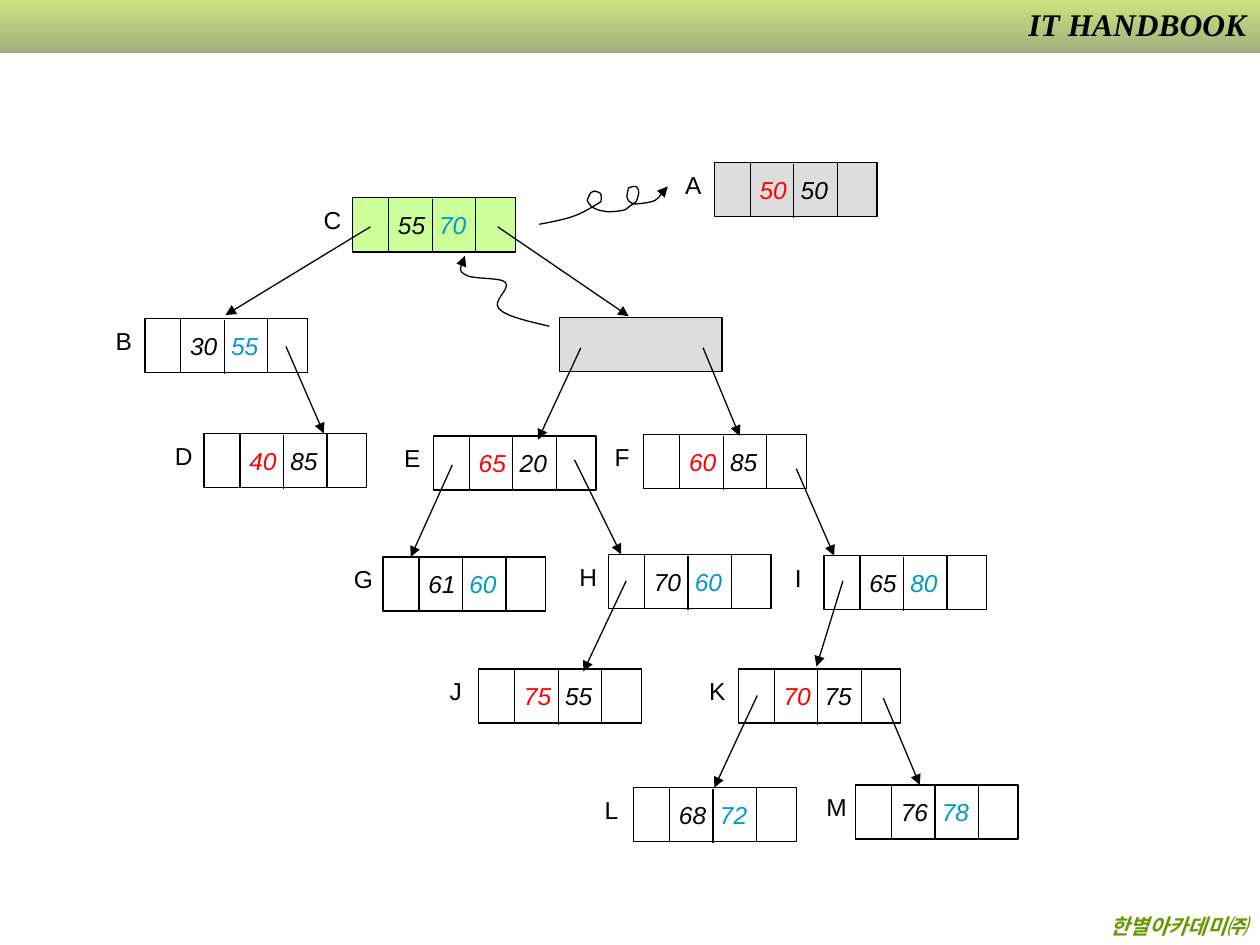
from lxml import etree
from pptx import Presentation
from pptx import util as u
from pptx.dml.color import RGBColor
from pptx.enum import shapes, text
from pptx.oxml.ns import qn

HUE = {"ink": "000000", "red": "FF0000", "blue": "0099CC", "gray": "DDDDDD",
       "lime": "CCFF99", "leaf": "669900", "top": "99CC00", "low": "475E00"}

deck = Presentation()
deck.slide_width, deck.slide_height = u.Inches(10), u.Inches(7.5)
page = deck.slides.add_slide(deck.slide_layouts[6])
parts = page.shapes
rect = shapes.MSO_SHAPE.RECTANGLE
unit = deck.slide_width / 100  # grid of 100 columns by 75 rows


def grid(*nums):
    return [round(n * unit) for n in nums]


def write(box, runs, size, face, side, wrap, **style):
    frame = box.text_frame
    frame.word_wrap = wrap
    para = frame.paragraphs[0]
    para.alignment = side
    for word, hue in runs:
        run = para.add_run()
        run.text = word
        run.font.size, run.font.name = u.Pt(size), face
        run.font.color.rgb = RGBColor.from_string(HUE[hue])
        for key, val in style.items():
            setattr(run.font, key, val)
    return para


# Header band
bar = parts.add_shape(rect, *grid(0, 0, 100, 4.2))
bar.shadow.inherit = False
bar.line.fill.background()
bar.fill.gradient()
bar.fill.gradient_angle = 270
for stop, hue in zip(bar.fill.gradient_stops, ("top", "low")):
    stop.color.rgb = RGBColor.from_string(HUE[hue])
for tint in bar.fill._xPr.iter(qn("a:srgbClr")):
    etree.SubElement(tint, qn("a:alpha"), val="50000")

# Header and footer words
serif = "Times New Roman"
right = text.PP_ALIGN.RIGHT
foot = parts.add_textbox(*grid(0.6, 72, 99.4, 3))
write(foot, [("한별아카데미㈜", "leaf")], 12, serif, right, True, bold=True, italic=True)
head = parts.add_textbox(*grid(78.8, -0.1, 21.1, 4))
para = write(head, [("IT HANDBOOK", "ink")], 18, serif, right, True, bold=True, italic=True)
fill = para.runs[0]._r.rPr.find(qn("a:solidFill"))
glow = etree.Element(qn("a:effectLst"))
cast = etree.SubElement(glow, qn("a:outerShdw"), dist="25400", dir="2700000")
etree.SubElement(cast, qn("a:srgbClr"), val="C0C0C0")
fill.addnext(glow)

# Tree nodes: name, column, row, left key, right key, fill
nodes = [
    ("", 44.4, 25.2, "", "", "gray"),
    ("A", 56.7, 12.9, "50", "50", "gray"),
    ("C", 28, 15.7, "55", "70", "lime"),
    ("B", 11.5, 25.3, "30", "55", None),
    ("D", 16.2, 34.4, "40", "85", None),
    ("E", 34.4, 34.6, "65", "20", None),
    ("F", 51.1, 34.5, "60", "85", None),
    ("G", 30.4, 44.2, "61", "60", None),
    ("H", 48.3, 44, "70", "60", None),
    ("I", 65.4, 44.1, "65", "80", None),
    ("J", 38, 53.1, "75", "55", None),
    ("K", 58.6, 53.1, "70", "75", None),
    ("L", 50.3, 62.5, "68", "72", None),
    ("M", 67.9, 62.3, "76", "78", None),
]
wide = {"I": 2.5, "J": 3, "G": 3.5, "M": 3.6}
reds = "ADEFJK"
lines = []
for name, x, y, low, high, hue in nodes:
    cells = [(x, 12.9, hue), (x + 2.85, 6.9, None)]
    for left, width, tone in cells if name else cells[:1]:
        box = parts.add_shape(rect, *grid(left, y, width, 4.3))
        box.shadow.inherit = False
        box.line.width = u.Pt(0.75)
        box.line.color.rgb = RGBColor.from_string(HUE["ink"])
        if tone:
            box.fill.solid()
            box.fill.fore_color.rgb = RGBColor.from_string(HUE[tone])
        else:
            box.fill.background()
    if not name:
        continue
    box.text_frame.vertical_anchor = text.MSO_ANCHOR.MIDDLE
    first, last = ("red", "ink") if name in reds else ("ink", "blue")
    para = write(box, [(low, first), (" ", first), (high, last)], 14, "Arial",
                 text.PP_ALIGN.CENTER, False, italic=True)
    para.runs[1]._r.rPr.set("spc", "390")  # widens the gap around the divider
    lines.append((x + 6.3, y + 0.1, x + 6.3, y + 4.4, False))
    tag = parts.add_textbox(*grid(x - 3.3, y + 0.1, wide.get(name, 3.3), 3.4))
    write(tag, [(name, "ink")], 14, "Arial", text.PP_ALIGN.LEFT, False)

# Links from parent to child
links = [
    (39.5, 18, 49.9, 25.1), (29.4, 18, 17.9, 25), (46.1, 27.6, 42.7, 34.9),
    (55.8, 27.6, 58.7, 34.6), (22.7, 27.5, 25.7, 34.4), (35.9, 36.9, 32.6, 44.2),
    (45.6, 36.5, 49.3, 44), (63.2, 37.2, 66.2, 44.1), (49.7, 46.1, 46.3, 53.3),
    (66.9, 46.1, 64.8, 52.9), (60.1, 55.2, 56.7, 62.5), (70.1, 55.4, 73, 62.3),
]
lines += [(*link, True) for link in links]
strokes = []
for x1, y1, x2, y2, tip in lines:
    line = parts.add_connector(shapes.MSO_CONNECTOR.STRAIGHT, *grid(x1, y1, x2, y2))
    strokes.append((line, tip))

# Curved moves: a start point, then three points for each curve
curves = [
    [(42.8, 17.8), (45.4, 17.3), (45.8, 17.2), (47.7, 16), (47.7, 15.8), (47.8, 15.5),
     (47.6, 15.3), (46.8, 14.9), (46.8, 15.5), (46.6, 15.9), (46.9, 16.6), (47.5, 16.7),
     (48.2, 16.8), (48.5, 16.8), (49.3, 16.8), (49.7, 16.6), (49.9, 16.4), (50.5, 16),
     (50.5, 16), (50.6, 15.7), (50.9, 15.1), (50.5, 14.8), (50.3, 14.7), (50.1, 14.9),
     (49.9, 14.9), (49.7, 15.6), (49.6, 15.9), (50.3, 16.2), (50.4, 16.2), (51.7, 16.1),
     (52, 15.9), (52.4, 15.6), (52.6, 15.1), (53, 14.8)],
    [(43.6, 25.9), (41.9, 25.5), (40.1, 25.1), (39.6, 24.5), (39, 23.9), (40.6, 22.9),
     (40.1, 22.4), (39.7, 22), (37.4, 22.2), (36.9, 21.8), (36.4, 21.5), (36.6, 20.9),
     (36.9, 20.3)],
]
for dots in curves:
    pen = parts.build_freeform(*grid(*dots[0]))
    pen.add_line_segments([grid(*dot) for dot in dots[1:]], close=False)
    curve = pen.convert_to_shape()
    curve.fill.background()
    steps = list(curve._element.iter(qn("a:lnTo")))
    for i in range(0, len(steps) - 2, 3):
        bend = etree.Element(qn("a:cubicBezTo"))
        steps[i].addprevious(bend)
        for step in steps[i:i + 3]:
            bend.append(step[0])
            step.getparent().remove(step)
    strokes.append((curve, True))

# Stroke style and arrowheads
for line, tip in strokes:
    line.line.width = u.Pt(0.75)
    line.line.color.rgb = RGBColor.from_string(HUE["ink"])
    if tip:
        etree.SubElement(line.line._get_or_add_ln(), qn("a:tailEnd"), type="triangle")
    etree.SubElement(line._element.spPr, qn("a:effectLst"))

deck.save("out.pptx")
